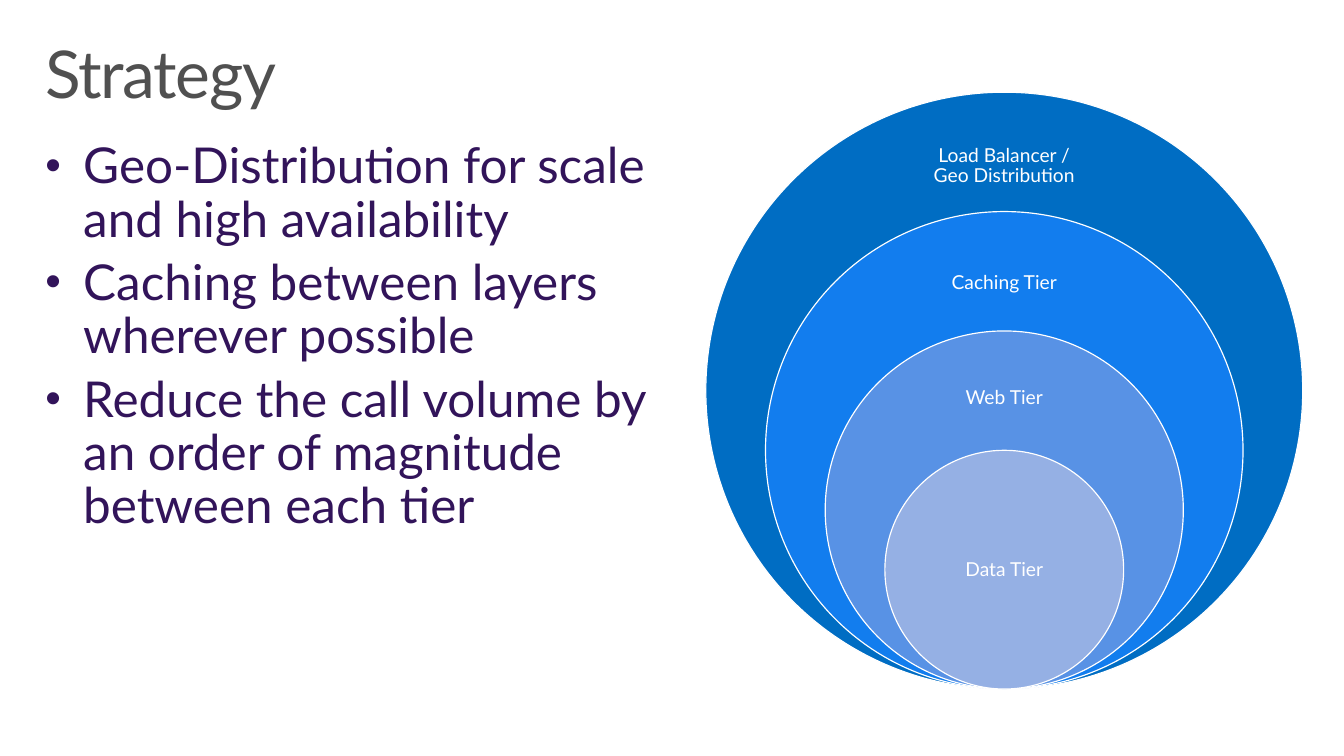
from dataclasses import dataclass

from lxml import etree
from pptx import Presentation
from pptx.dml.color import RGBColor
from pptx.enum.shapes import MSO_SHAPE
from pptx.enum.text import MSO_ANCHOR, MSO_AUTO_SIZE, PP_ALIGN
from pptx.oxml.ns import qn
from pptx.slide import Slide
from pptx.text.text import TextFrame, _Paragraph
from pptx.util import Cm, Pt

ELLIPSE = MSO_SHAPE.OVAL
TOP, MIDDLE = MSO_ANCHOR.TOP, MSO_ANCHOR.MIDDLE
LEFT, CENTER = PP_ALIGN.LEFT, PP_ALIGN.CENTER
NO_AUTOFIT = MSO_AUTO_SIZE.NONE
TITLE_ONLY = 5


@dataclass(frozen=True)
class Theme:
    """Font, colours and type sizes of the slide."""
    font: str = "Lato"
    title: str = "505050"
    body: str = "32145A"
    white: str = "FFFFFF"
    title_size: int = 48
    body_size: int = 36
    label_size: int = 14
    outline: float = 0.85


@dataclass(frozen=True)
class Tier:
    """One nested circle: label, fill, and label top and height in cm."""
    label: str
    fill: str
    label_top: float
    label_height: float


THEME = Theme()
STRATEGIES = (
    "Geo-Distribution for scale\vand high availability",
    "Caching between layers\vwherever possible",
    "Reduce the call volume by\van order of magnitude\vbetween each tier",
)
TIERS = (
    Tier("Load Balancer / Geo Distribution", "006DC3", 3.12, 2.31),
    Tier("Caching Tier", "127DEE", 6.17, 2.21),
    Tier("Web Tier", "5892E5", 9.19, 2.08),
    Tier("Data Tier", "95B0E4", 13.11, 3.07),
)
CENTRE_X, BOTTOM, OUTER_DIAMETER = 25.81, 17.71, 15.34
DIAMETER_STEP = 0.2
LABEL_WIDTH = 4.3


def set_all(target: object, values: dict) -> None:
    """Set every attribute named in values on the target."""
    for name, value in values.items():
        setattr(target, name, value)


def box(left: float, top: float, width: float, height: float) -> dict:
    """Return position and size, given in cm, as shape attributes."""
    return {"left": Cm(left), "top": Cm(top),
            "width": Cm(width), "height": Cm(height)}


def format_frame(frame: TextFrame, anchor: MSO_ANCHOR, side: float,
                 edge: float) -> None:
    """Set anchor, wrapping and insets of a text frame."""
    set_all(frame, {
        "word_wrap": True, "auto_size": NO_AUTOFIT, "vertical_anchor": anchor,
        "margin_left": Cm(side), "margin_right": Cm(side),
        "margin_top": Cm(edge), "margin_bottom": Cm(edge),
    })


def write(paragraph: _Paragraph, text: str, size: int, color: str,
          align: PP_ALIGN) -> None:
    """Fill one paragraph with formatted text."""
    paragraph.text = text
    set_all(paragraph, {"alignment": align, "line_spacing": 0.9})
    set_all(paragraph.font, {"name": THEME.font, "size": Pt(size)})
    paragraph.font.color.rgb = RGBColor.from_string(color)
    for run in paragraph.runs:
        set_all(run.font, {"name": THEME.font, "size": Pt(size)})
        run.font.color.rgb = RGBColor.from_string(color)


def add_bullet(paragraph: _Paragraph) -> None:
    """Give a paragraph a hanging bullet and proportional space before."""
    properties = paragraph._p.get_or_add_pPr()
    properties.set("marL", str(Cm(0.97)))
    properties.set("indent", str(Cm(-0.97)))
    default_run = properties.find(qn("a:defRPr"))
    space = etree.Element(qn("a:spcBef"))
    etree.SubElement(space, qn("a:spcPct"), val="20000")
    parts = (space,
             etree.Element(qn("a:buSzPct"), val="90000"),
             etree.Element(qn("a:buFont"), typeface="Arial"),
             etree.Element(qn("a:buChar"), char="•"))
    for part in parts:
        default_run.addprevious(part)


def add_title(slide: Slide, text: str) -> None:
    """Place and format the title placeholder."""
    title = slide.shapes.title
    set_all(title, box(0.76, 0.81, 33.02, 2.54))
    format_frame(title.text_frame, TOP, 0.41, 0.25)
    heading = title.text_frame.paragraphs[0]
    write(heading, text, THEME.title_size, THEME.title, LEFT)
    heading.runs[0]._r.get_or_add_rPr().set("spc", "-100")


def add_strategies(slide: Slide) -> None:
    """Add the bulleted list of strategies."""
    frame = slide.shapes.add_textbox(
        **box(0.76, 3.38, 33.02, 10.82)).text_frame
    format_frame(frame, TOP, 0.41, 0.25)
    for index, strategy in enumerate(STRATEGIES):
        paragraph = frame.add_paragraph() if index else frame.paragraphs[0]
        write(paragraph, strategy, THEME.body_size, THEME.body, LEFT)
        add_bullet(paragraph)


def add_tier(slide: Slide, tier: Tier, depth: int) -> None:
    """Add a circle resting on the common bottom point, and its label."""
    diameter = OUTER_DIAMETER * (1 - DIAMETER_STEP * depth)
    circle = slide.shapes.add_shape(ELLIPSE, **box(
        CENTRE_X - diameter / 2, BOTTOM - diameter, diameter, diameter))
    circle.shadow.inherit = False
    circle.fill.solid()
    circle.fill.fore_color.rgb = RGBColor.from_string(tier.fill)
    circle.line.color.rgb = RGBColor.from_string(THEME.white)
    circle.line.width = Pt(THEME.outline)

    label = slide.shapes.add_textbox(**box(
        CENTRE_X - LABEL_WIDTH / 2, tier.label_top,
        LABEL_WIDTH, tier.label_height)).text_frame
    format_frame(label, MIDDLE, 0.28, 0.28)
    write(label.paragraphs[0], tier.label, THEME.label_size, THEME.white,
          CENTER)


def main() -> None:
    """Build and save the slide."""
    deck = Presentation()
    set_all(deck, {"slide_width": Cm(34.54), "slide_height": Cm(19.43)})
    slide = deck.slides.add_slide(deck.slide_layouts[TITLE_ONLY])
    add_title(slide, "Strategy")
    add_strategies(slide)
    for depth, tier in enumerate(TIERS):
        add_tier(slide, tier, depth)
    deck.save("out.pptx")


main()
